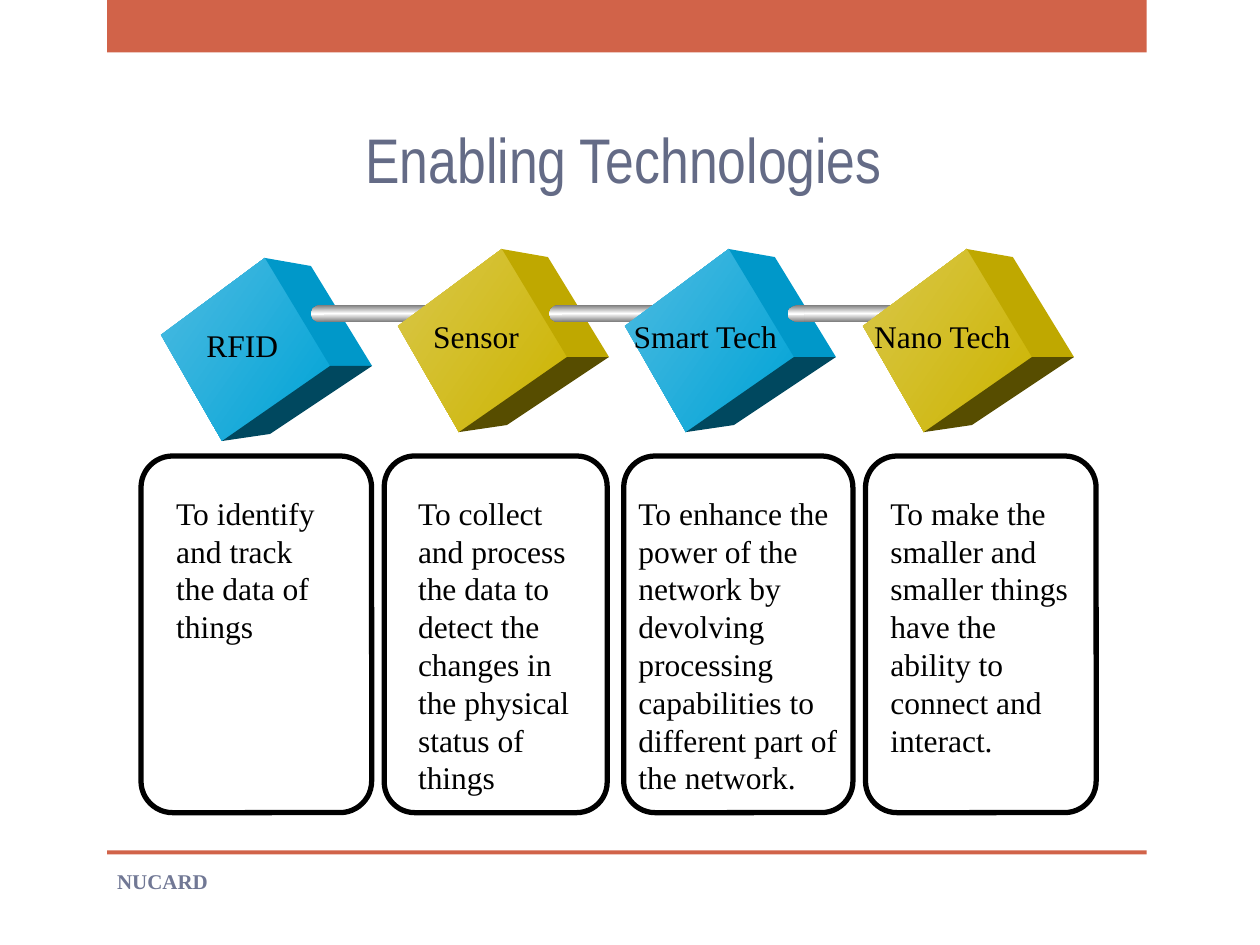
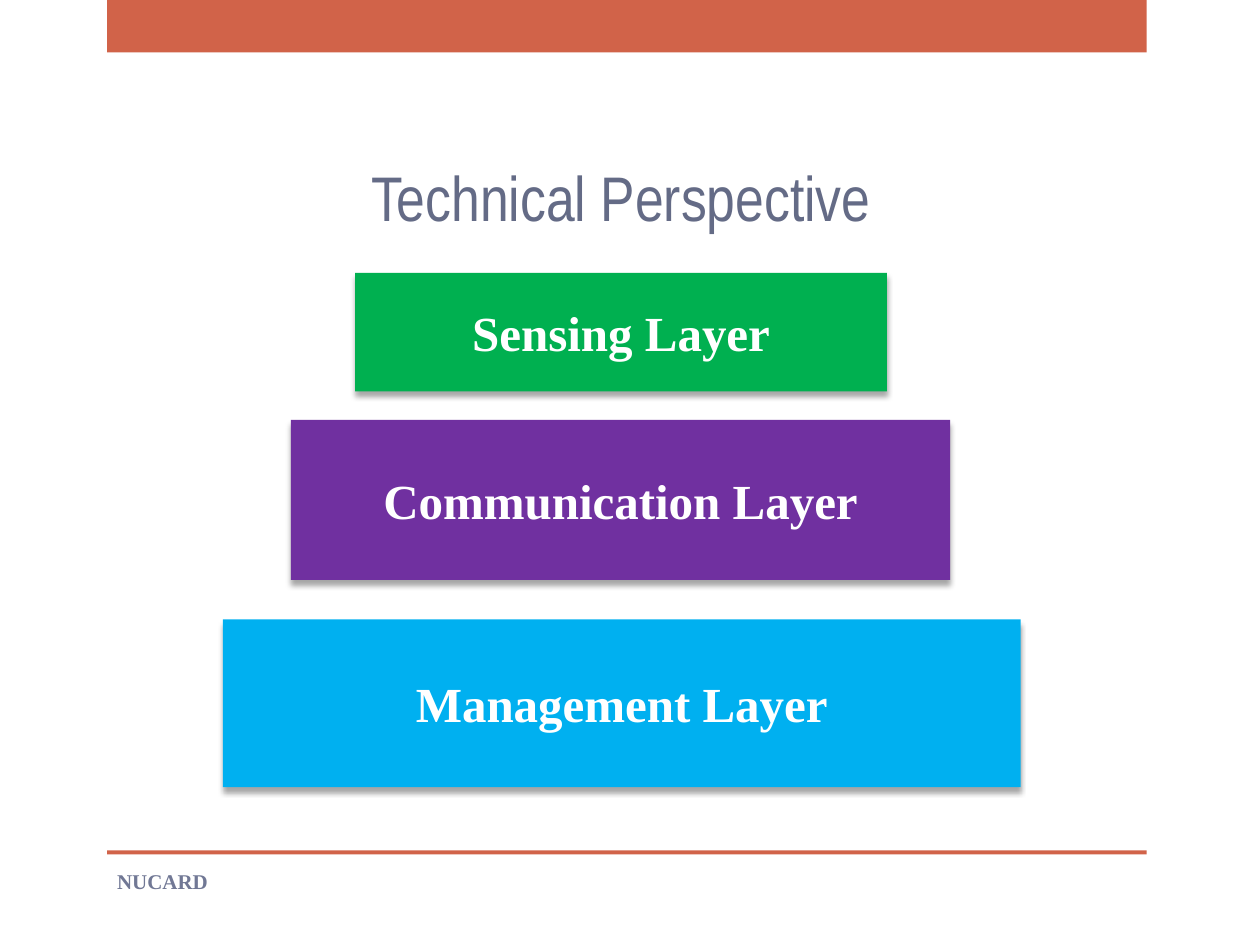
from collections import namedtuple

from lxml.etree import SubElement
from pptx import Presentation
from pptx.dml.color import RGBColor
from pptx.enum.shapes import MSO_SHAPE as Preset
from pptx.enum.text import MSO_ANCHOR as Anchor, MSO_AUTO_SIZE as AutoSize, PP_ALIGN as Align
from pptx.oxml.ns import qn
from pptx.util import Pt

COLORS = {
    "accent": "D16349", "title": "646B86", "footer": "717895",
    "black": "000000", "white": "FFFFFF",
    "rod_edge": "767676", "tip_edge": "B6B6B6",
    "green": "00B050", "purple": "7030A0", "sky": "00B0F0",
}
CUBE_COLORS = {
    "blue": {"light": "4DBBE1", "front": "00A3D6", "side": "0098C9", "base": "00485F"},
    "gold": {"light": "D9C74A", "front": "CCB400", "side": "BFA800", "base": "574D00"},
}
SERIF = "Times New Roman"
NARROW = "Arial Narrow"

CUBE_FACES = {
    "front": [(0, 44), (59.4, 0), (96.6, 61.7), (34.9, 104.6)],
    "side": [(59.4, 0), (85.7, 4.6), (120.6, 61.7), (96.6, 61.7)],
    "base": [(96.6, 61.7), (120.6, 61.7), (62.3, 100.6), (34.9, 104.6)],
}

Box = namedtuple("Box", "left top width height")
Technology = namedtuple("Technology", "name text palette cube label card body")

TECHNOLOGIES = [
    Technology("RFID", "To identify and track the data of things", "blue",
               Box(92, 147.4, 120.6, 104.6), (18.9, 57),
               Box(80.6, 260.6, 131.8, 203.8), (13, 102.2)),
    Technology("Sensor",
               "To collect and process the data to detect the changes in the physical "
               "status of things", "gold",
               Box(227.4, 142.3, 120.6, 104.6), (13.1, 72),
               Box(219.6, 260.6, 127.4, 203.8), (12.2, 113.8)),
    Technology("Smart Tech",
               "To enhance the power of the network by devolving processing capabilities "
               "to different part of the network.", "blue",
               Box(357.1, 142.3, 120.6, 104.6), (-2.1, 105.8),
               Box(356.4, 260.6, 131, 203.8), (1.4, 131.8)),
    Technology("Nano Tech",
               "To make the smaller and smaller things have the ability to connect and "
               "interact.", "gold",
               Box(493.1, 142.3, 120.6, 104.6), (-0.6, 100.8),
               Box(494.6, 260.6, 131.8, 203.8), (7.2, 120.2)),
]
RODS = [Box(left, 174.2, width, 10.1)
        for left, width in [(177.8, 73.4), (313.9, 72.7), (450, 96.5)]]
LAYERS = [
    ("Sensing Layer", "green", Box(203, 156, 303.8, 67.7)),
    ("Communication Layer", "purple", Box(166.3, 240, 376.6, 91.4)),
    ("Management Layer", "sky", Box(127.4, 354, 455.8, 95.8)),
]


def rgb(value):
    return RGBColor.from_string(value)


def points(box):
    return [Pt(length) for length in box]


def write(shape, text, size=18, font=SERIF, color="black", bold=False,
          align=Align.LEFT, anchor=Anchor.TOP):
    frame = shape.text_frame
    frame.word_wrap = True
    frame.auto_size = AutoSize.NONE
    frame.vertical_anchor = anchor
    paragraph = frame.paragraphs[0]
    paragraph.alignment = align
    run = paragraph.add_run()
    run.text = text
    run.font.size = Pt(size)
    run.font.name = font
    run.font.bold = bold
    run.font.color.rgb = rgb(COLORS[color])


def add_text(slide, box, text, **text_format):
    write(slide.shapes.add_textbox(*points(box)), text, **text_format)


def fill_gradient(shape, colors, angle):
    shape.fill.gradient()
    shape.fill.gradient_angle = angle
    stops = next(shape.element.iter(qn("a:gsLst")))
    for stop in list(stops):
        stops.remove(stop)
    for index, color in enumerate(colors):
        position = 100000 * index // (len(colors) - 1)
        stop = SubElement(stops, qn("a:gs"), pos=str(position))
        SubElement(stop, qn("a:srgbClr"), val=color)


def add_shape(slide, preset, box, fill=None):
    shape = slide.shapes.add_shape(preset, *points(box))
    shape.shadow.inherit = False
    shape.line.fill.background()
    if fill:
        shape.fill.solid()
        shape.fill.fore_color.rgb = rgb(COLORS[fill])
    else:
        shape.fill.background()
    return shape


def add_drop_shadow(shape):
    effects = shape.element.spPr.find(qn("a:effectLst"))
    shadow = SubElement(effects, qn("a:outerShdw"), blurRad=str(Pt(3)), dist=str(Pt(3)),
                        dir="5400000", rotWithShape="0")
    color = SubElement(shadow, qn("a:srgbClr"), val=COLORS["black"])
    SubElement(color, qn("a:alpha"), val="35000")


def add_titled_slide(presentation, title, box):
    slide = presentation.slides.add_slide(presentation.slide_layouts[5])
    placeholder = slide.shapes.title
    placeholder.left, placeholder.top, placeholder.width, placeholder.height = points(box)
    write(placeholder, title, size=36, font=NARROW, color="title",
          align=Align.CENTER, anchor=Anchor.BOTTOM)
    for top, height in [(0, 30), (486, 2.2)]:
        add_shape(slide, Preset.RECTANGLE, Box(61.2, top, 594, height), "accent")
    add_text(slide, Box(59.8, 488.9, 383.8, 28.8), "NUCARD", size=12, color="footer",
             bold=True, anchor=Anchor.MIDDLE)
    return slide


def add_rod(slide, box):
    left, top, width, height = box
    parts = [
        (Preset.OVAL, 0, 0.17, 0, 1, "rod_edge"),
        (Preset.RECTANGLE, 0.1, 0.82, 0, 1, "rod_edge"),
        (Preset.OVAL, 0.85, 0.15, 0, 1, "tip_edge"),
        (Preset.OVAL, 0.93, 0.04, 0.35, 0.3, "tip_edge"),
    ]
    for preset, start, share, drop, depth, edge in parts:
        part = add_shape(slide, preset, Box(left + start * width, top + drop * height,
                                            share * width, depth * height))
        fill_gradient(part, [COLORS[edge], COLORS["white"], COLORS[edge]], 90)


def add_cube(slide, box, palette, name, label):
    colors = CUBE_COLORS[palette]
    for face, corners in CUBE_FACES.items():
        start, *others = [(Pt(box.left + x), Pt(box.top + y)) for x, y in corners]
        builder = slide.shapes.build_freeform(*start)
        builder.add_line_segments(others)
        shape = builder.convert_to_shape()
        shape.shadow.inherit = False
        shape.line.fill.background()
        if face == "front":
            fill_gradient(shape, [colors["light"], colors["front"]], 325)
        else:
            shape.fill.solid()
            shape.fill.fore_color.rgb = rgb(colors[face])
    offset, width = label
    add_text(slide, Box(box.left + offset, box.top + 35.2, width, 28.8), name)


def add_card(slide, box, text, body):
    card = add_shape(slide, Preset.ROUNDED_RECTANGLE, box)
    card.adjustments[0] = 0.137
    card.line.color.rgb = rgb(COLORS["black"])
    card.line.width = Pt(3)
    offset, width = body
    add_text(slide, Box(box.left + offset, box.top + 18, width, 181.4), text)


def add_technologies_slide(presentation):
    slide = add_titled_slide(presentation, "Enabling Technologies",
                             Box(89.3, 54, 534.2, 61.9))
    for technology in TECHNOLOGIES:
        add_card(slide, technology.card, technology.text, technology.body)
    for technology, rod in zip(TECHNOLOGIES, [None, *RODS]):
        if rod:
            add_rod(slide, rod)
        add_cube(slide, technology.cube, technology.palette, technology.name,
                 technology.label)


def add_layers_slide(presentation):
    slide = add_titled_slide(presentation, "Technical Perspective",
                             Box(87.8, 59.8, 534.2, 77.8))
    for name, color, box in LAYERS:
        layer = add_shape(slide, Preset.RECTANGLE, box, color)
        add_drop_shadow(layer)
        write(layer, name, size=28, color="white", bold=True,
              align=Align.CENTER, anchor=Anchor.MIDDLE)


def main():
    presentation = Presentation()
    presentation.slide_width = Pt(720)
    presentation.slide_height = Pt(540)
    add_technologies_slide(presentation)
    add_layers_slide(presentation)
    presentation.save("out.pptx")


if __name__ == "__main__":
    main()
